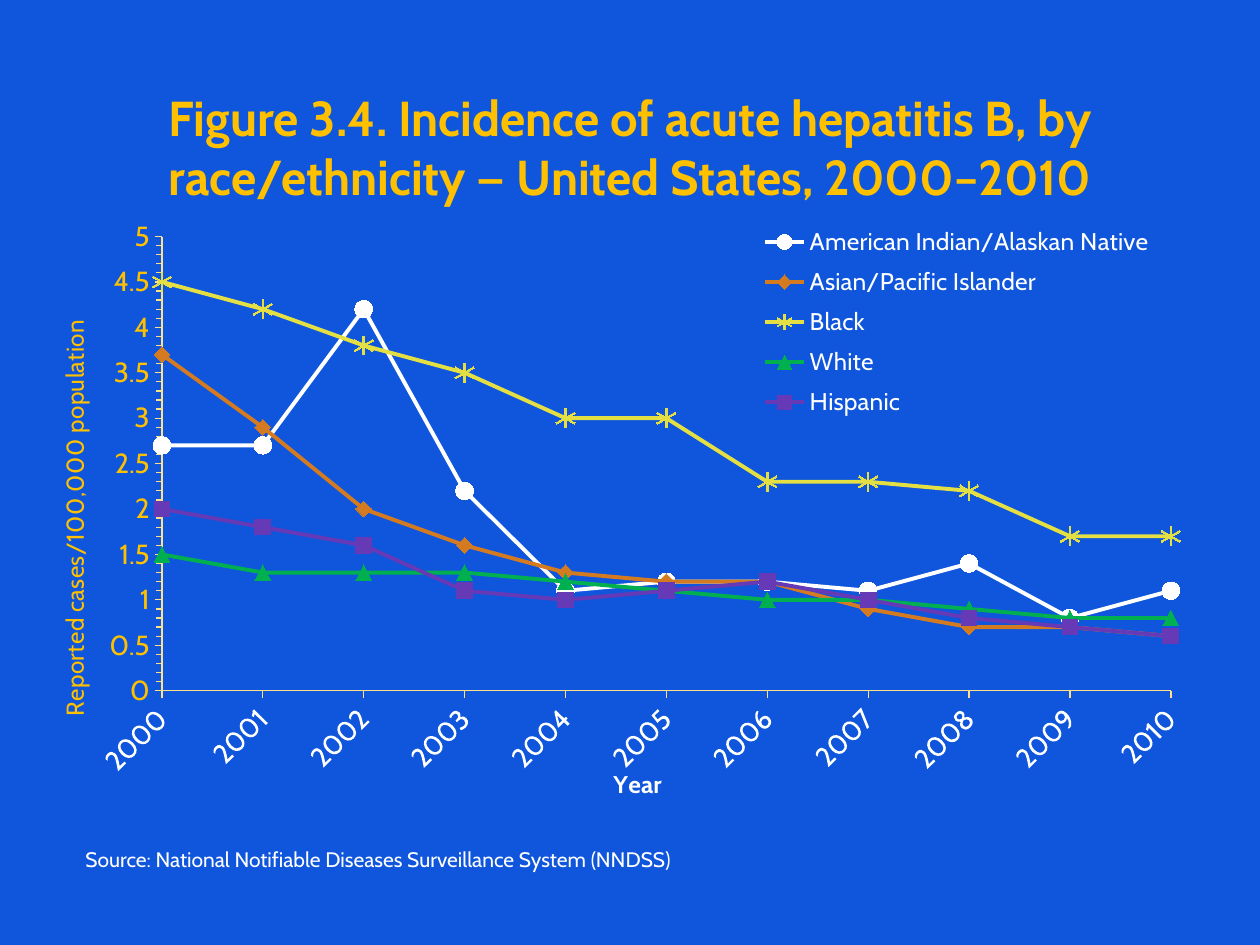
"""Build the slide on acute hepatitis B incidence by race and ethnicity."""
import lxml.etree
import pptx
import pptx.chart.data
import pptx.dml.color
import pptx.enum.chart
import pptx.enum.text
import pptx.oxml.ns
import pptx.util

PX = 914400 / 126
FONT = "Cabin"
GOLD, WHITE, BLUE = "FFC000", "FFFFFF", "0F56DC"
CHART_AREA = (39, 210, 1168, 597)


def color(value):
    return pptx.dml.color.RGBColor.from_string(value)


def place(element, index, x, y, width=None, height=None, inner=False):
    qn = pptx.oxml.ns.qn
    for old in element.findall(qn("c:layout")):
        element.remove(old)
    layout = lxml.etree.Element(qn("c:layout"))
    manual = lxml.etree.SubElement(layout, qn("c:manualLayout"))
    left, top, full_width, full_height = CHART_AREA
    values = {"xMode": "edge", "yMode": "edge",
              "x": (x - left) / full_width, "y": (y - top) / full_height}
    if inner:
        values = {"layoutTarget": "inner", **values}
    if width:
        values.update(w=width / full_width, h=height / full_height)
    for tag, value in values.items():
        lxml.etree.SubElement(manual, qn("c:" + tag)).set("val", str(value))
    element.insert(index, layout)


deck = pptx.Presentation()
deck.slide_width, deck.slide_height = pptx.util.Inches(10), pptx.util.Inches(7.5)
page = deck.slides.add_slide(deck.slide_layouts[5])
page.background.fill.solid()
page.background.fill.fore_color.rgb = color(BLUE)

title = page.shapes.title
source = page.shapes.add_textbox(0, 0, 0, 0)
texts = [
    (title, (63, 73, 1134, 147), 28, GOLD, True, pptx.enum.text.PP_ALIGN.CENTER,
     pptx.enum.text.MSO_ANCHOR.MIDDLE,
     "Figure 3.4. Incidence of acute hepatitis B, by race/ethnicity — United States, 2000–2010"),
    (source, (73, 840, 1071, 38), 12, WHITE, False, pptx.enum.text.PP_ALIGN.LEFT,
     pptx.enum.text.MSO_ANCHOR.TOP,
     "Source: National Notifiable Diseases Surveillance System (NNDSS)"),
]
for box, area, size, ink, bold, align, anchor, words in texts:
    box.left, box.top, box.width, box.height = [round(v * PX) for v in area]
    box.text_frame.word_wrap = True
    box.text_frame.auto_size = pptx.enum.text.MSO_AUTO_SIZE.NONE
    box.text_frame.vertical_anchor = anchor
    para = box.text_frame.paragraphs[0]
    para.alignment = align
    span = para.add_run()
    span.text = words
    for name, value in {"name": FONT, "size": pptx.util.Pt(size), "bold": bold}.items():
        setattr(span.font, name, value)
    span.font.color.rgb = color(ink)

series_rows = [
    ("American Indian/Alaskan Native", WHITE, "CIRCLE", 10,
     (2.7, 2.7, 4.2, 2.2, 1.1, 1.2, 1.2, 1.1, 1.4, 0.8, 1.1)),
    ("Asian/Pacific Islander", "D47B22", "DIAMOND", 9,
     (3.7, 2.9, 2, 1.6, 1.3, 1.2, 1.2, 0.9, 0.7, 0.7, 0.6)),
    ("Black", "E4E044", "STAR", 11,
     (4.5, 4.2, 3.8, 3.5, 3, 3, 2.3, 2.3, 2.2, 1.7, 1.7)),
    ("White", "00B050", "TRIANGLE", 9,
     (1.5, 1.3, 1.3, 1.3, 1.2, 1.1, 1, 1, 0.9, 0.8, 0.8)),
    ("Hispanic", "6639B7", "SQUARE", 9,
     (2, 1.8, 1.6, 1.1, 1, 1.1, 1.2, 1, 0.8, 0.7, 0.6)),
]
data = pptx.chart.data.CategoryChartData()
data.categories = [str(year) for year in range(2000, 2011)]
for name, ink, marker, size, values in series_rows:
    data.add_series(name, values)
chart = page.shapes.add_chart(pptx.enum.chart.XL_CHART_TYPE.LINE_MARKERS,
                              *[round(v * PX) for v in CHART_AREA], data).chart
chart.has_title = False
chart.has_legend = True
chart.legend.position = pptx.enum.chart.XL_LEGEND_POSITION.RIGHT
chart.legend.include_in_layout = False
plot = chart.plots[0]
plot.vary_by_categories = False
for series, (name, ink, marker, size, values) in zip(plot.series, series_rows):
    series.smooth = False
    series.format.line.color.rgb = color(ink)
    series.format.line.width = pptx.util.Pt(2.25)
    series.marker.style = getattr(pptx.enum.chart.XL_MARKER_STYLE, marker)
    series.marker.size = size
    series.marker.format.fill.solid()
    series.marker.format.fill.fore_color.rgb = color(ink)
    series.marker.format.line.color.rgb = color(ink)

years, rates = chart.category_axis, chart.value_axis
tick = pptx.enum.chart.XL_TICK_MARK
axis_formats = [
    (years, {"major_tick_mark": tick.OUTSIDE, "minor_tick_mark": tick.NONE}),
    (rates, {"major_tick_mark": tick.OUTSIDE, "minor_tick_mark": tick.OUTSIDE,
             "minimum_scale": 0, "maximum_scale": 5, "major_unit": 0.5, "minor_unit": 0.1}),
]
for axis, values in axis_formats:
    axis.has_major_gridlines = False
    for name, value in values.items():
        setattr(axis, name, value)
    axis.format.line.color.rgb = color("FFE08A")
    axis.format.line.width = pptx.util.Pt(0.75)
years.axis_title.text_frame.text = "Year"
rates.axis_title.text_frame.text = "Reported cases/100,000 population"
fonts = [
    (chart.font, 18, GOLD, False),
    (chart.legend.font, 14, WHITE, False),
    (years.tick_labels.font, 16, WHITE, False),
    (rates.tick_labels.font, 16, GOLD, False),
    (years.axis_title.text_frame.paragraphs[0].runs[0].font, 14, WHITE, True),
    (rates.axis_title.text_frame.paragraphs[0].runs[0].font, 14, GOLD, False),
]
for font, size, ink, bold in fonts:
    for name, value in {"name": FONT, "size": pptx.util.Pt(size), "bold": bold}.items():
        setattr(font, name, value)
    font.color.rgb = color(ink)

plot_area = chart.element.find(".//" + pptx.oxml.ns.qn("c:plotArea"))
legend = plot_area.getparent().find(pptx.oxml.ns.qn("c:legend"))
year_title = plot_area.xpath("c:catAx/c:title")[0]
rate_title = plot_area.xpath("c:valAx/c:title")[0]
for body in plot_area.xpath("c:catAx/c:txPr/a:bodyPr"):
    body.set("rot", "-2700000")
for body in rate_title.xpath(".//a:bodyPr"):
    body.set("rot", "-5400000")
    body.set("vert", "horz")
for old in plot_area.xpath("c:valAx/c:crossBetween"):
    old.getparent().remove(old)
crossing = lxml.etree.Element(pptx.oxml.ns.qn("c:crossBetween"))
crossing.set("val", "midCat")
plot_area.xpath("c:valAx/c:crosses")[0].addnext(crossing)
place(plot_area, 0, 162, 237, 1009, 461, inner=True)
place(legend, 1, 752, 217, 410, 214)
place(year_title, 1, 609, 771)
place(rate_title, 1, 53, 323)
deck.save("out.pptx")
